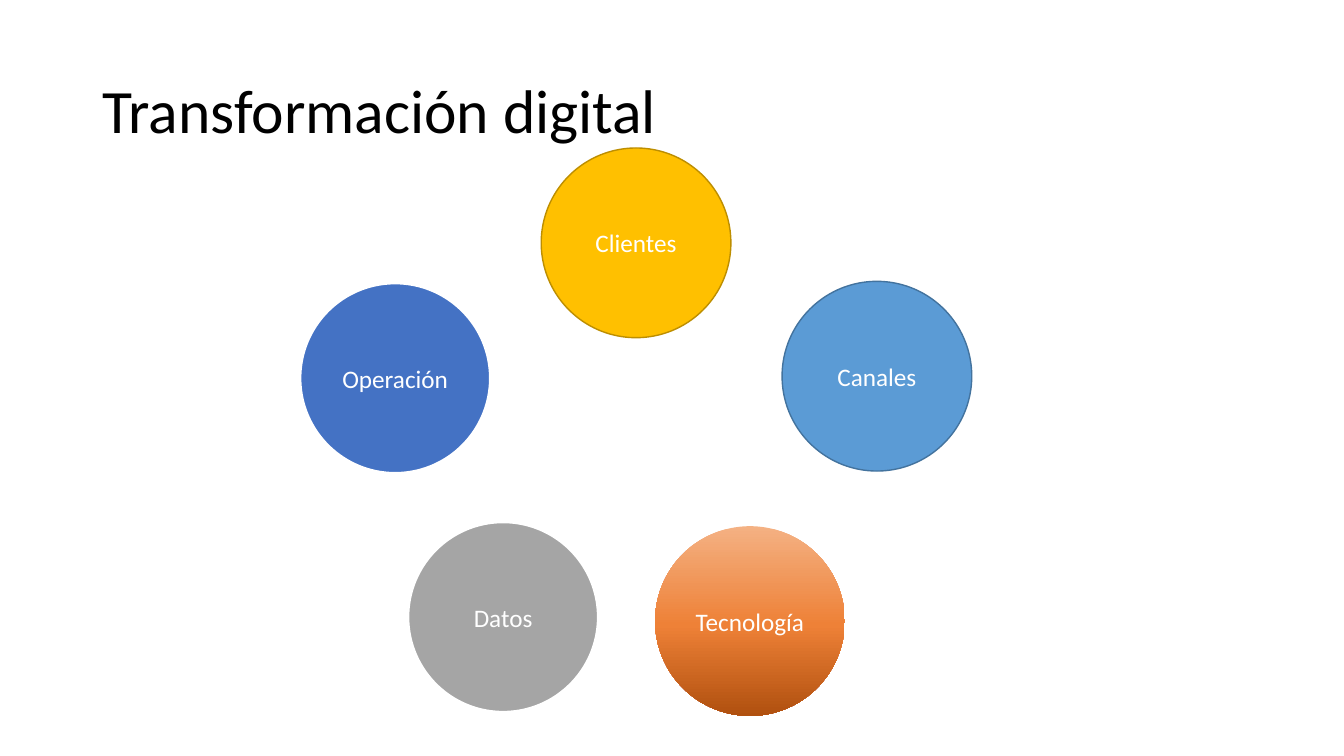
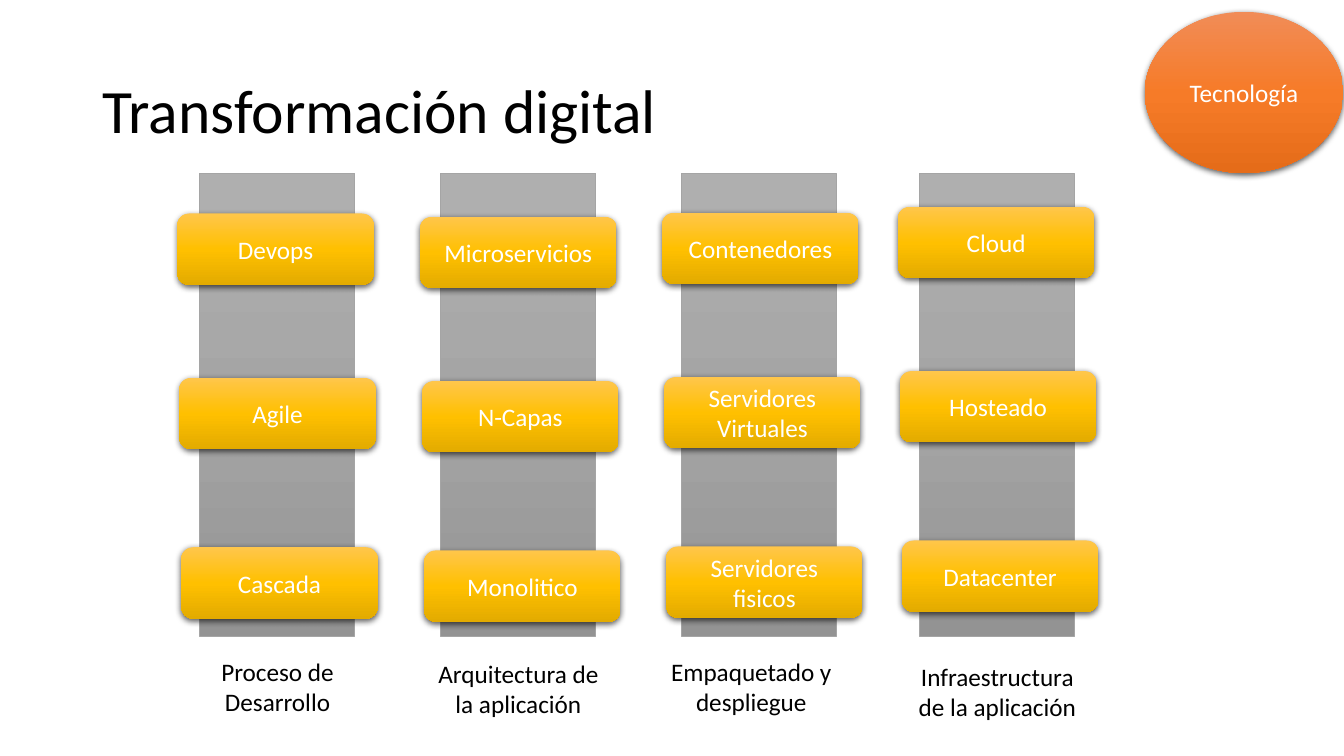
"""Build two slides on digital transformation."""
from lxml import etree
from pptx import Presentation
from pptx import util as u
from pptx.dml import color
from pptx.enum import shapes, text
from pptx.oxml import ns

COLOURS = {
    "black": "000000", "white": "FFFFFF",
    "gold": "FFC000", "gold_edge": "BD8E00",
    "sky": "5B9BD5", "sky_edge": "43739E",
    "grey": "A5A5A5", "blue": "4472C4",
}
GRADIENTS = {
    "copper": ((0, "F4B183"), (52, "EE8137"), (100, "B0500F")),
    "orange": ((0, "F18C57"), (50, "F67B28"), (100, "E56C19")),
    "grey_fade": ((0, "AFAFAF"), (50, "A5A5A5"), (100, "939393")),
    "gold_fade": ((0, "FFC64B"), (50, "FFC000"), (100, "E3AB00")),
}
OVAL = shapes.MSO_SHAPE.OVAL
RECTANGLE = shapes.MSO_SHAPE.RECTANGLE
ROUNDED = shapes.MSO_SHAPE.ROUNDED_RECTANGLE

CIRCLE_SIZE = 4.78
CIRCLES = (
    ("Clientes", 13.64, 3.73, "gold", ("gold_edge", 1)),
    ("Canales", 19.71, 7.09, "sky", ("sky_edge", 1)),
    ("Tecnología", 16.51, 13.26, "copper", None),
    ("Datos", 10.29, 13.16, "grey", ("white", 1.5)),
    ("Operación", 7.57, 7.14, "blue", ("white", 1.5)),
)
TILE_WIDTH, TILE_HEIGHT = 4.95, 1.8
TILE_STEPS = ((0, 0), (0.05, 4.14), (0.1, 8.41))
COLUMNS = (
    (5.03, (4.47, 5.38), (4.52, 16.41), "Proceso de Desarrollo",
     ("Devops", "Agile", "Cascada")),
    (11.1, (10.59, 5.46), (10.59, 16.46), "Arquitectura de la aplicación",
     ("Microservicios", "N-Capas", "Monolitico")),
    (17.17, (16.69, 5.36), (16.46, 16.41), "Empaquetado y despliegue",
     ("Contenedores", "Servidores\nVirtuales", "Servidores\nfisicos")),
    (23.16, (22.63, 5.21), (22.66, 16.54), "Infraestructura de la aplicación",
     ("Cloud", "Hosteado", "Datacenter")),
)


def rgb(name):
    return color.RGBColor.from_string(COLOURS[name])


def add_node(parent, tag, **attributes):
    return etree.SubElement(parent, ns.qn(tag), attributes)


class Deck:
    def __init__(self):
        self.presentation = Presentation()
        self.presentation.slide_width = u.Cm(33.87)
        self.presentation.slide_height = u.Cm(19.05)
        self.slide = None

    def start_slide(self, title):
        blank = self.presentation.slide_layouts[6]
        self.slide = self.presentation.slides.add_slide(blank)
        self.label(title, (2.33, 1.01, 29.21, 3.68), 44,
                   text.PP_ALIGN.LEFT, text.MSO_ANCHOR.MIDDLE, 0.9)

    def set_words(self, shape, words, size, colour, align, anchor, spacing=None):
        frame = shape.text_frame
        frame.word_wrap = True
        frame.vertical_anchor = anchor
        frame.text = words
        for paragraph in frame.paragraphs:
            paragraph.alignment = align
            paragraph.line_spacing = spacing
            paragraph.font.name = "Calibri"
            paragraph.font.size = u.Pt(size)
            paragraph.font.color.rgb = rgb(colour)

    def label(self, words, box, size=18, align=text.PP_ALIGN.CENTER,
              anchor=text.MSO_ANCHOR.TOP, spacing=None):
        shape = self.slide.shapes.add_textbox(*map(u.Cm, box))
        self.set_words(shape, words, size, "black", align, anchor, spacing)

    def block(self, kind, box, fill, words="", line=None, raised=False):
        shape = self.slide.shapes.add_shape(kind, *map(u.Cm, box))
        shape.shadow.inherit = False
        if fill in GRADIENTS:
            self.fade(shape, GRADIENTS[fill])
        else:
            shape.fill.solid()
            shape.fill.fore_color.rgb = rgb(fill)
        if line:
            name, width = line
            shape.line.color.rgb = rgb(name)
            shape.line.width = u.Pt(width)
        else:
            shape.line.fill.background()
        if raised:
            self.raise_up(shape)
        if words:
            self.set_words(shape, words, 18, "white", text.PP_ALIGN.CENTER,
                           text.MSO_ANCHOR.MIDDLE)

    def fade(self, shape, stops):
        shape.fill.gradient()
        shape.fill.gradient_angle = 270
        stop_list = next(shape.element.iter(ns.qn("a:gsLst")))
        for old_stop in list(stop_list):
            stop_list.remove(old_stop)
        for position, value in stops:
            stop = add_node(stop_list, "a:gs", pos=str(position * 1000))
            add_node(stop, "a:srgbClr", val=value)

    def raise_up(self, shape):
        effects = next(shape.element.iter(ns.qn("a:effectLst")))
        shadow = add_node(effects, "a:outerShdw", blurRad=str(u.Pt(4.5)),
                          dist=str(u.Pt(1.5)), dir="5400000",
                          algn="ctr", rotWithShape="0")
        tint = add_node(shadow, "a:srgbClr", val=COLOURS["black"])
        add_node(tint, "a:alpha", val="63000")


def main():
    title = "Transformación digital"
    deck = Deck()

    deck.start_slide(title)
    for words, left, top, fill, line in CIRCLES:
        deck.block(OVAL, (left, top, CIRCLE_SIZE, CIRCLE_SIZE), fill, words, line)

    deck.start_slide(title)
    deck.block(OVAL, (28.85, 0.3, 5, 4.06), "orange", "Tecnología", raised=True)
    for bar_left, tile_start, label_start, caption, stages in COLUMNS:
        deck.block(RECTANGLE, (bar_left, 4.37, 3.91, 11.66), "grey_fade",
                   line=("grey", 0.5))
        deck.label(caption, (*label_start, TILE_WIDTH, TILE_HEIGHT))
        left, top = tile_start
        for stage, (shift, drop) in zip(stages, TILE_STEPS):
            deck.block(ROUNDED, (left + shift, top + drop, TILE_WIDTH, TILE_HEIGHT),
                       "gold_fade", stage, raised=True)

    deck.presentation.save("out.pptx")


if __name__ == "__main__":
    main()
